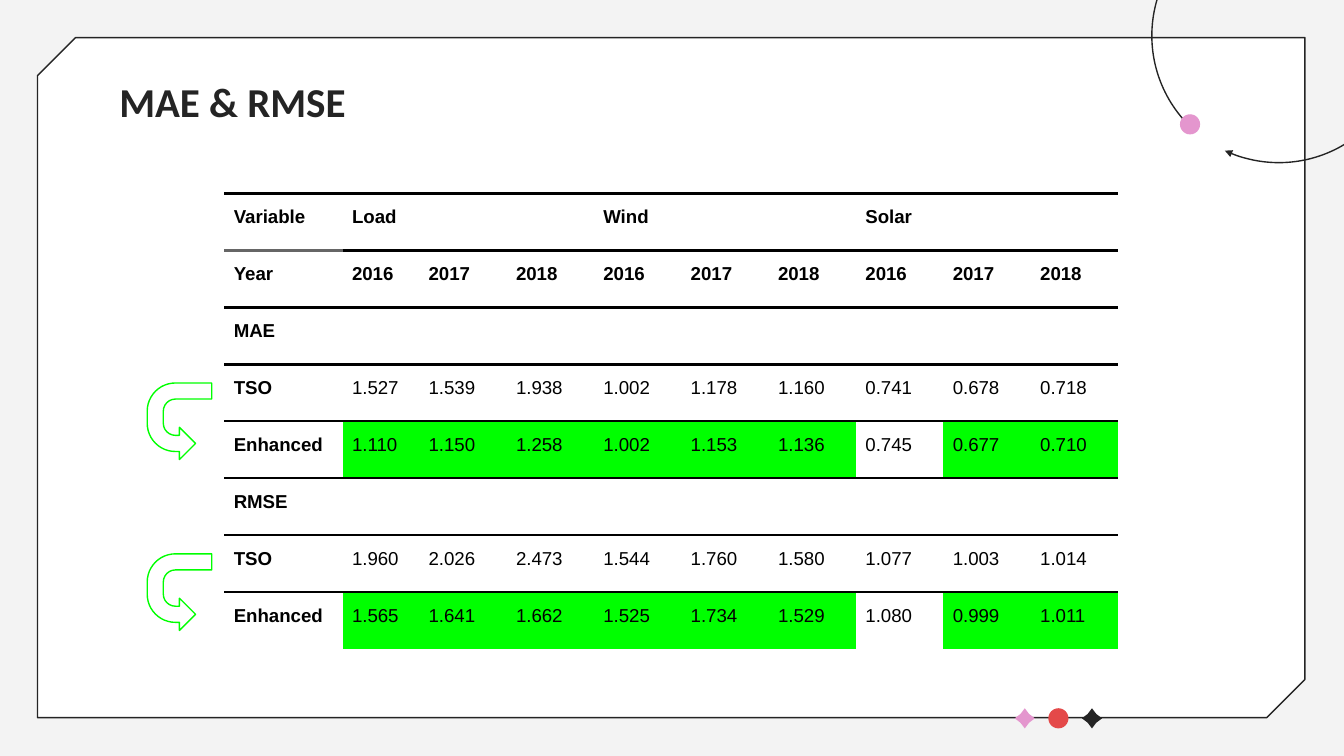
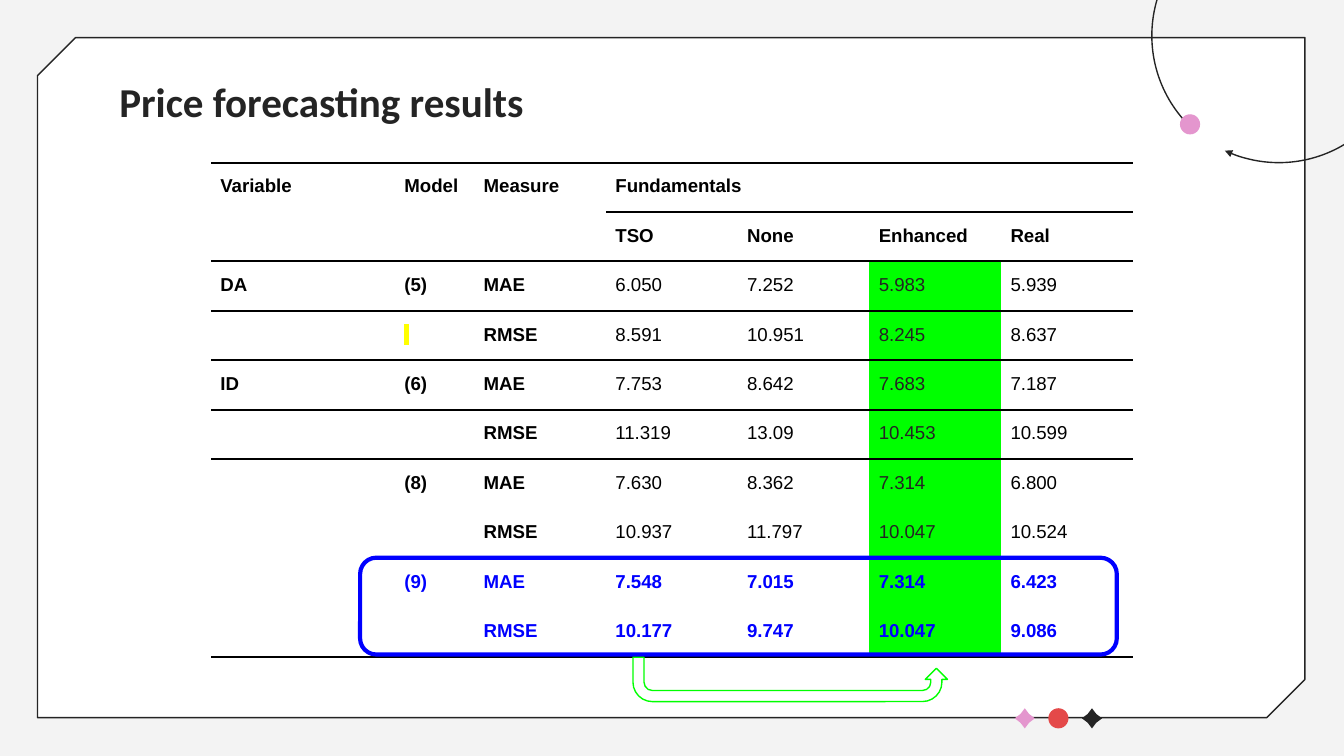
"""Builds two slides of forecast error tables on a shared framed background."""
import lxml.etree
import pptx
import pptx.dml.color
import pptx.enum.shapes
import pptx.enum.text
import pptx.oxml.ns
import pptx.util

SHAPES = pptx.enum.shapes.MSO_SHAPE
INK, PINK, RED, PAPER = "242424", "E496CE", "E44949", "F3F3F3"
WHITE, BLACK, GREY = "FFFFFF", "000000", "666666"
GREEN, BLUE, YELLOW = "00FF00", "0000FF", "FFFF00"
WIDTH = 10
HEIGHT = WIDTH * 9 / 16

ERRORS = {
    "title": "MAE & RMSE",
    "left": 1.67, "top": 1.44, "height": 3.39,
    "columns": [0.88, 0.57] + [0.65] * 8,
    "rows": [
        ["Variable", "Load", "", "", "Wind", "", "", "Solar", "", ""],
        ["Year"] + ["2016", "2017", "2018"] * 3,
        ["MAE"] + [""] * 9,
        ["TSO", "1.527", "1.539", "1.938", "1.002", "1.178", "1.160", "0.741", "0.678", "0.718"],
        ["Enhanced", "1.110", "1.150", "1.258", "1.002", "1.153", "1.136", "0.745", "0.677", "0.710"],
        ["RMSE"] + [""] * 9,
        ["TSO", "1.960", "2.026", "2.473", "1.544", "1.760", "1.580", "1.077", "1.003", "1.014"],
        ["Enhanced", "1.565", "1.641", "1.662", "1.525", "1.734", "1.529", "1.080", "0.999", "1.011"],
    ],
    "merges": [(0, 1, 0, 3), (0, 4, 0, 6), (0, 7, 0, 9), (2, 0, 2, 9), (5, 0, 5, 9)],
    "rules": {row: 0 for row in range(8)},
    "rule_width": 1.5,
}
PRICES = {
    "title": "Price forecasting results",
    "left": 1.57, "top": 1.21, "height": 3.68,
    "columns": [1.37, 0.59] + [0.98] * 5,
    "rows": [
        ["Variable", "Model", "Measure", "Fundamentals", "", "", ""],
        ["", "", "", "TSO", "None", "Enhanced", "Real"],
        ["DA", "(5)", "MAE", "6.050", "7.252", "5.983", "5.939"],
        ["", " ", "RMSE", "8.591", "10.951", "8.245", "8.637"],
        ["ID", "(6)", "MAE", "7.753", "8.642", "7.683", "7.187"],
        ["", "", "RMSE", "11.319", "13.09", "10.453", "10.599"],
        ["", "(8)", "MAE", "7.630", "8.362", "7.314", "6.800"],
        ["", "", "RMSE", "10.937", "11.797", "10.047", "10.524"],
        ["", "(9)", "MAE", "7.548", "7.015", "7.314", "6.423"],
        ["", "", "RMSE", "10.177", "9.747", "10.047", "9.086"],
    ],
    "merges": [(0, 0, 1, 0), (0, 1, 1, 1), (0, 2, 1, 2), (0, 3, 0, 6)],
    "rules": {0: 0, 1: 3, 2: 0, 3: 0, 4: 0, 5: 0, 10: 0},
    "rule_width": 1.2,
}


def errors_style(row, column):
    """Return fill, text colour and boldness of a cell in the error table."""
    improved = row in (4, 7) and column not in (0, 7)
    return GREEN if improved else None, BLACK, row < 3 or column == 0


def prices_style(row, column):
    """Return fill, text colour and boldness of a cell in the price table."""
    if row < 2:
        return None, BLACK, True
    enhanced, best = column == 5, row > 7
    color = BLUE if best else INK if enhanced else BLACK
    return GREEN if enhanced else WHITE, color, best or column < 3


def rgb(color):
    """Turn a hex string into a colour."""
    return pptx.dml.color.RGBColor.from_string(color)


def child(parent, tag, **attributes):
    """Append a drawing element to its parent."""
    return lxml.etree.SubElement(parent, pptx.oxml.ns.qn("a:" + tag), attributes)


def add_shape(slide, kind, left, top, width, height, fill=None, line=None,
              weight=0.75, adjustments=(), rotation=0, flip=False):
    """Draw a preset shape without shadow."""
    box = [pptx.util.Inches(length) for length in (left, top, width, height)]
    shape = slide.shapes.add_shape(kind, *box)
    shape.shadow.inherit = False
    shape.rotation = rotation
    for index, value in enumerate(adjustments):
        shape.adjustments[index] = value
    if fill:
        shape.fill.solid()
        shape.fill.fore_color.rgb = rgb(fill)
    else:
        shape.fill.background()
    if line:
        shape.line.color.rgb = rgb(line)
        shape.line.width = pptx.util.Pt(weight)
    else:
        shape.line.fill.background()
    if flip:
        shape._element.spPr.get_or_add_xfrm().set("flipH", "1")
    return shape


def format_run(run, font, size, color, bold):
    """Set the look of a run."""
    run.font.name = font
    run.font.size = pptx.util.Pt(size)
    run.font.color.rgb = rgb(color)
    run.font.bold = bold


def add_frame(slide):
    """Draw the background, the card and its ornaments."""
    slide.background.fill.solid()
    slide.background.fill.fore_color.rgb = rgb(PAPER)
    margin, dot = 0.28, 0.15
    add_shape(slide, SHAPES.SNIP_2_DIAG_RECTANGLE, margin, margin, 9.43, 5.06,
              WHITE, INK, adjustments=(0, 0.056), flip=True)
    ornaments = [(SHAPES.STAR_4_POINT, PINK), (SHAPES.OVAL, RED), (SHAPES.STAR_4_POINT, INK)]
    for index, (kind, color) in enumerate(ornaments):
        adjustments = (0.303,) if kind == SHAPES.STAR_4_POINT else ()
        add_shape(slide, kind, 7.55 + 0.25 * index, 5.27, dot, dot, color, adjustments=adjustments)
    orbit = add_shape(slide, SHAPES.ARC, 8.57, -0.68, 1.89, 1.89, line=INK,
                      adjustments=(162, 150.075), rotation=225)
    child(orbit.line._get_or_add_ln(), "tailEnd", type="triangle", w="sm", len="sm")
    add_shape(slide, SHAPES.OVAL, 8.78, 0.85, dot, dot, PINK, rotation=315)


def add_title(slide, title):
    """Write the slide title."""
    box = slide.shapes.add_textbox(*[pptx.util.Inches(n) for n in (0.79, 0.47, 8.43, 0.63)])
    frame = box.text_frame
    frame.word_wrap = True
    frame.vertical_anchor = pptx.enum.text.MSO_ANCHOR.TOP
    for side in ("left", "top", "right", "bottom"):
        setattr(frame, "margin_" + side, pptx.util.Inches(0.1))
    frame.text = title
    format_run(frame.paragraphs[0].runs[0], "Calibri", 22, INK, True)


def add_border(cell, side, color, width):
    """Draw one side of a cell."""
    line = child(cell._tc.get_or_add_tcPr(), side, w=str(pptx.util.Pt(width)))
    child(child(line, "solidFill"), "srgbClr", val=color)


def fill_cell(cell, text, fill, color, bold):
    """Write and colour a cell."""
    cell.margin_left = cell.margin_right = pptx.util.Inches(0.07)
    cell.margin_top = cell.margin_bottom = pptx.util.Inches(0.1)
    if fill:
        cell.fill.solid()
        cell.fill.fore_color.rgb = rgb(fill)
    else:
        cell.fill.background()
    cell.text_frame.text = text
    paragraph = cell.text_frame.paragraphs[0]
    for run in paragraph.runs:
        format_run(run, "Arial", 10, color, bold)
        if text.isspace():
            properties = run._r.get_or_add_rPr()
            highlight = child(properties, "highlight")
            child(highlight, "srgbClr", val=YELLOW)
            properties.find(pptx.oxml.ns.qn("a:latin")).addprevious(highlight)
    if not text:
        child(paragraph._p, "endParaRPr", sz="1000")


def add_table(slide, content, style):
    """Build a ruled table from its content and a cell style rule."""
    rows, columns, rules = content["rows"], content["columns"], content["rules"]
    box = (content["left"], content["top"], sum(columns), content["height"])
    frame = slide.shapes.add_table(len(rows), len(columns), *[pptx.util.Inches(n) for n in box])
    table = frame.table
    table.first_row = table.horz_banding = False
    style_id = table._tbl.tblPr.find(pptx.oxml.ns.qn("a:tableStyleId"))
    style_id.text = "{2D5ABB26-0587-4C30-8999-92F81FD0307C}"
    for index, width in enumerate(columns):
        table.columns[index].width = pptx.util.Inches(width)
    for row, texts in enumerate(rows):
        table.rows[row].height = pptx.util.Inches(content["height"] / len(rows))
        for column, text in enumerate(texts):
            cell = table.cell(row, column)
            for side, edge in (("lnT", row), ("lnB", row + 1)):
                if edge in rules and column >= rules[edge]:
                    pale = content is ERRORS and edge == 1 and column == 0
                    add_border(cell, side, GREY if pale else BLACK, content["rule_width"])
            fill_cell(cell, text, *style(row, column))
    for top, left, bottom, right in content["merges"]:
        table.cell(top, left).merge(table.cell(bottom, right))


def add_slide(presentation, content, style):
    """Add a slide with frame, title and table."""
    slide = presentation.slides.add_slide(presentation.slide_layouts[6])
    add_frame(slide)
    add_title(slide, content["title"])
    add_table(slide, content, style)
    return slide


def main():
    """Build and save the presentation."""
    PRICES["rules"] = {0: 0, 1: 3, 2: 0, 3: 0, 4: 0, 5: 0, 10: 0}
    presentation = pptx.Presentation()
    presentation.slide_width = pptx.util.Inches(WIDTH)
    presentation.slide_height = pptx.util.Inches(HEIGHT)

    slide = add_slide(presentation, ERRORS, errors_style)
    row_height = ERRORS["height"] / len(ERRORS["rows"])
    for enhanced_row in (4, 7):
        middle = ERRORS["top"] + enhanced_row * row_height
        add_shape(slide, SHAPES.U_TURN_ARROW, 1.05, middle - 0.24, 0.57, 0.48,
                  line=GREEN, rotation=270, flip=True)

    slide = add_slide(presentation, PRICES, prices_style)
    add_shape(slide, SHAPES.ROUNDED_RECTANGLE, 2.68, 4.15, 5.63, 0.72, line=BLUE, weight=2.25)
    add_shape(slide, SHAPES.U_TURN_ARROW, 4.71, PRICES["top"] + PRICES["height"], 2.34, 0.33,
              line=GREEN, rotation=180, flip=True)
    presentation.save("out.pptx")


if __name__ == "__main__":
    main()
